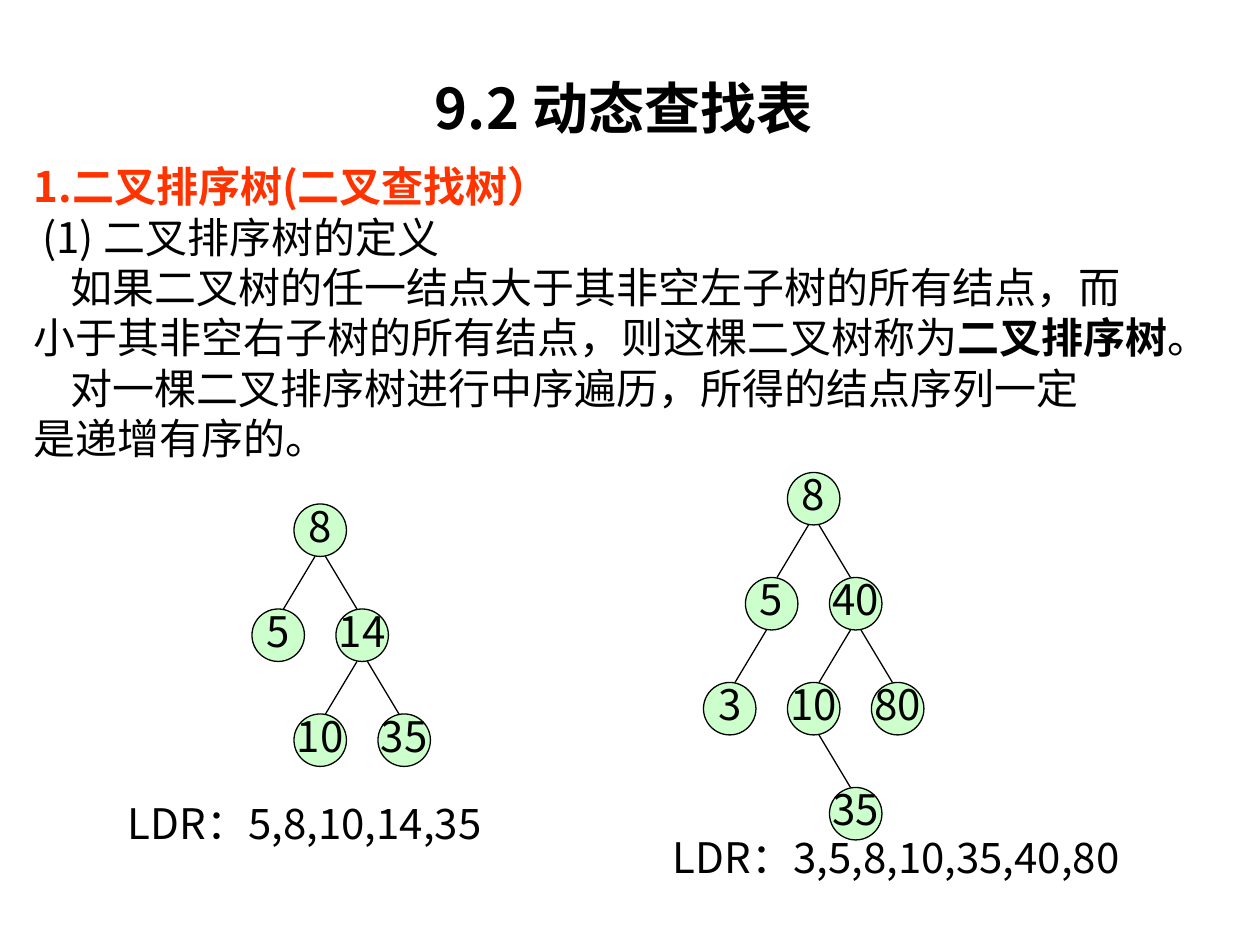
from collections import namedtuple

from lxml.etree import SubElement
from pptx import Presentation
from pptx.dml.color import RGBColor
from pptx.enum.shapes import MSO_CONNECTOR as Connector, MSO_SHAPE as Preset
from pptx.enum.text import MSO_ANCHOR as Anchor, MSO_AUTO_SIZE as AutoSize, PP_ALIGN as Align
from pptx.oxml.ns import qn
from pptx.util import Inches, Pt

COLORS = {"ink": "000000", "heading": "FF3300", "node": "CCFFCC"}
FONT = "Noto Sans CJK SC"
WIDTH, HEIGHT = Inches(10), Inches(7.5)
COLUMN, ROW = WIDTH / 30, HEIGHT / 9
NODE = ROW / 2

Box = namedtuple("Box", "left top width height")
Line = namedtuple("Line", "runs color indent align bold", defaults=("ink", 0, Align.JUSTIFY, False))

LINES = [
    Line(["1.二叉排序树(二叉查找树）"], "heading", align=Align.LEFT, bold=True),
    Line(["(1) 二叉排序树的定义"], indent=0.07, align=Align.LEFT),
    Line(["如果二叉树的任一结点大于其非空左子树的所有结点，而"], indent=0.29),
    Line(["小于其非空右子树的所有结点，则这棵二叉树称为", "二叉排序树", "。"]),
    Line(["对一棵二叉排序树进行中序遍历，所得的结点序列一定"], indent=0.29),
    Line(["是递增有序的。"]),
]
SMALL_TREE = ("8", ("5", None, None), ("14", ("10", None, None), ("35", None, None)))
LARGE_TREE = (
    "8",
    ("5", ("3", None, None), None),
    ("40", ("10", None, ("35", None, None)), ("80", None, None)),
)


def color(name):
    return RGBColor.from_string(COLORS[name])


def grid(left, top, width, height):
    return Box(int(left * COLUMN), int(top * ROW), int(width * COLUMN), int(height * ROW))


def set_font(paragraph, size, name="ink", bold=False):
    font = paragraph.font
    font.size, font.bold, font.name = Pt(size), bold, FONT
    font.color.rgb = color(name)
    properties = paragraph._p.pPr.find(qn("a:defRPr"))
    SubElement(properties, qn("a:ea"), typeface=FONT)


def place(shape, box):
    shape.left, shape.top, shape.width, shape.height = box
    frame = shape.text_frame
    frame.auto_size = AutoSize.NONE
    frame.word_wrap = True
    frame.vertical_anchor = Anchor.TOP
    frame.margin_top = frame.margin_bottom = 0
    return frame


def add_title(slide, box):
    paragraph = place(slide.shapes.title, box).paragraphs[0]
    paragraph.text = "9.2 动态查找表"
    paragraph.alignment = Align.CENTER
    paragraph.line_spacing = Pt(38.4)
    set_font(paragraph, 32, bold=True)


def add_body(slide, box):
    frame = place(slide.placeholders[1], box)
    for index, line in enumerate(LINES):
        paragraph = frame.add_paragraph() if index else frame.paragraphs[0]
        paragraph.alignment = line.align
        paragraph.line_spacing = Pt(28.8)
        paragraph.space_before = Pt(0)
        properties = paragraph._p.get_or_add_pPr()
        properties.set("marL", "0")
        properties.set("indent", str(Inches(line.indent)))
        SubElement(properties, qn("a:buNone"))
        set_font(paragraph, 24, line.color, line.bold)
        for position, text in enumerate(line.runs):
            run = paragraph.add_run()
            run.text = text
            if position == 1:
                run.font.bold = True


def add_edge(slide, start, end):
    edge = slide.shapes.add_connector(Connector.STRAIGHT, *map(int, start + end))
    edge.line.color.rgb = color("ink")
    edge.line.width = Pt(0.75)
    SubElement(edge._element.spPr, qn("a:effectLst"))


def add_node(slide, tree, left, top):
    value, *children = tree
    node = slide.shapes.add_shape(Preset.OVAL, int(left), int(top), int(NODE), int(NODE))
    node.shadow.inherit = False
    node.fill.solid()
    node.fill.fore_color.rgb = color("node")
    node.line.color.rgb = color("ink")
    node.line.width = Pt(0.75)
    frame = node.text_frame
    frame.word_wrap = False
    frame.vertical_anchor = Anchor.MIDDLE
    paragraph = frame.paragraphs[0]
    paragraph.text = value
    paragraph.alignment = Align.CENTER
    paragraph.line_spacing = 0.8
    set_font(paragraph, 24)
    center = left + NODE / 2
    for side, child in zip((-1, 1), children):
        if child:
            inset = side * NODE / 10
            start = (center + inset, top + NODE)
            end = (center + side * COLUMN - inset, top + ROW)
            add_edge(slide, start, end)
            add_node(slide, child, left + side * COLUMN, top + ROW)


def add_tree(slide, box, tree, root_column, sequence):
    add_node(slide, tree, box.left + root_column * COLUMN, box.top)
    height = int(0.73 * ROW)
    caption = slide.shapes.add_textbox(box.left, box.top + box.height - height, box.width, height)
    frame = caption.text_frame
    frame.word_wrap = False
    paragraph = frame.paragraphs[0]
    paragraph.text = f"LDR：{sequence}"
    paragraph.alignment = Align.LEFT
    set_font(paragraph, 24)


def main():
    presentation = Presentation()
    presentation.slide_width, presentation.slide_height = WIDTH, HEIGHT
    slide = presentation.slides.add_slide(presentation.slide_layouts[1])
    add_title(slide, grid(0.5, 0.7, 28.7, 0.65))
    add_body(slide, grid(0.5, 1.53, 28.7, 2.9))
    add_tree(slide, grid(2.75, 4.8, 9.6, 3.47), SMALL_TREE, 4.25, "5,8,10,14,35")
    add_tree(slide, grid(15.72, 4.5, 11.85, 4.09), LARGE_TREE, 3.03, "3,5,8,10,35,40,80")
    presentation.save("out.pptx")


if __name__ == "__main__":
    main()
